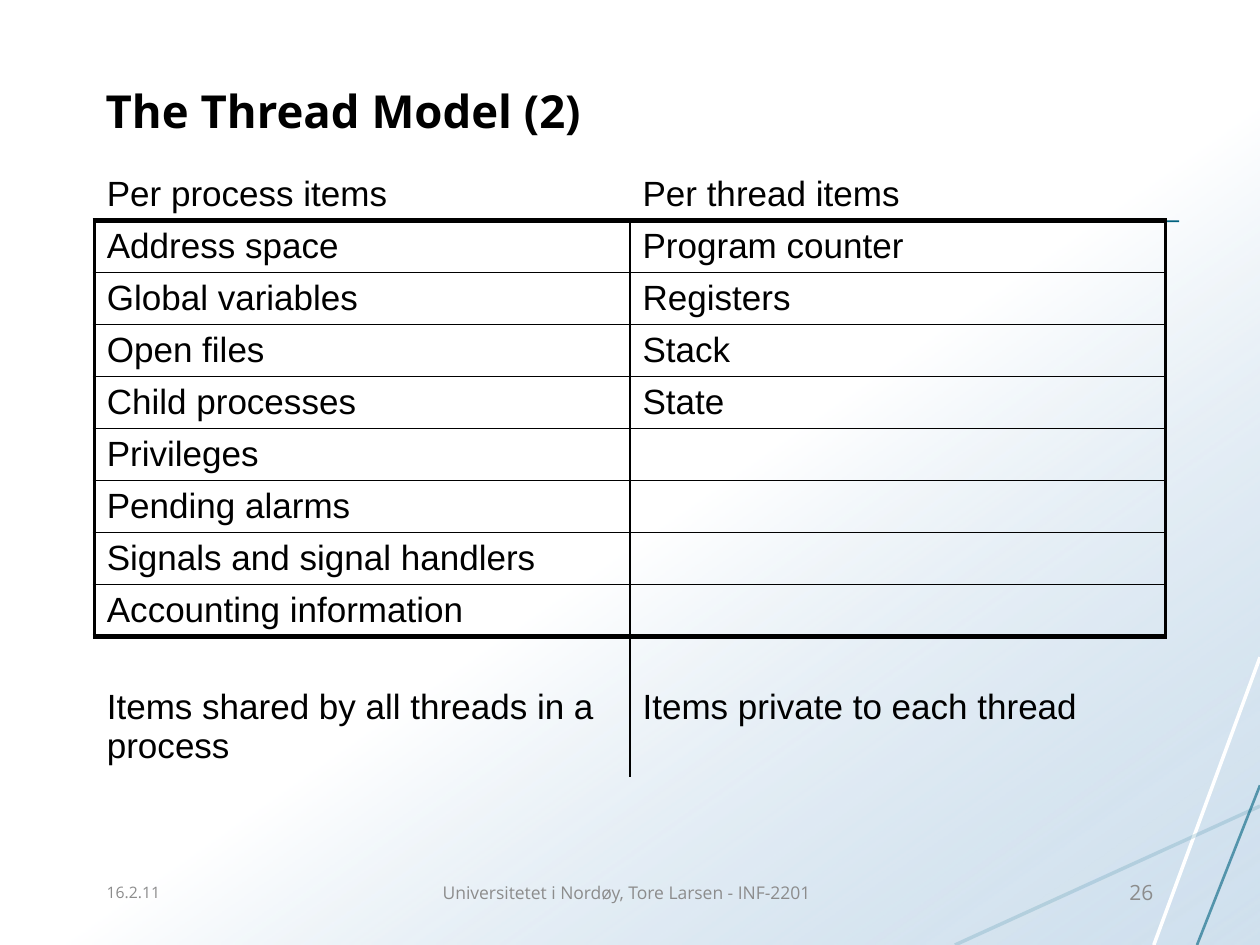
from dataclasses import dataclass

from lxml.etree import SubElement
from pptx import Presentation
from pptx.dml.color import RGBColor
from pptx.enum.shapes import MSO_CONNECTOR, MSO_SHAPE
from pptx.enum.text import MSO_ANCHOR, PP_ALIGN
from pptx.oxml import parse_xml
from pptx.oxml.ns import nsdecls, qn
from pptx.util import Cm, Pt


@dataclass(frozen=True)
class Theme:
    ink: str = "000000"
    muted: str = "8C8C8C"
    paper: str = "FFFFFF"
    sky: str = "A9C7E0"
    teal: str = "00617F"
    teal_light: str = "15718F"
    heading_font: str = "Open Sans"
    body_font: str = "Arial"
    title_size: float = 26
    body_size: float = 20
    thin: float = 1
    side: float = 2.25
    thick: float = 3


THEME = Theme()
SLIDE_W, SLIDE_H = 25.4, 19.05

ITEMS = [
    ("Per process items", "Per thread items"),
    ("Address space", "Program counter"),
    ("Global variables", "Registers"),
    ("Open files", "Stack"),
    ("Child processes", "State"),
    ("Privileges", ""),
    ("Pending alarms", ""),
    ("Signals and signal handlers", ""),
    ("Accounting information", ""),
    ("Items shared by all threads in a process", "Items private to each thread"),
]


def add_run(p, text, size, font, color, bold=False):
    r = p.add_run()
    r.text = text
    r.font.size = Pt(size)
    r.font.name = font
    r.font.bold = bold
    r.font.color.rgb = RGBColor.from_string(color)


def add_text(slide, box, text, size, color, anchor=MSO_ANCHOR.MIDDLE,
             align=PP_ALIGN.LEFT, bold=False):
    tf = slide.shapes.add_textbox(*map(Cm, box)).text_frame
    tf.word_wrap = True
    tf.vertical_anchor = anchor
    tf.margin_bottom = 0 if anchor == MSO_ANCHOR.BOTTOM else tf.margin_top
    p = tf.paragraphs[0]
    p.alignment = align
    add_run(p, text, size, THEME.heading_font, color, bold)


def add_line(slide, start, end, color, width, alpha=100):
    line = slide.shapes.add_connector(
        MSO_CONNECTOR.STRAIGHT, *map(Cm, start + end))
    line.line.width = Pt(width)
    line.line.color.rgb = RGBColor.from_string(color)
    sp_pr = line._element.spPr
    if alpha < 100:
        clr = sp_pr.find(".//" + qn("a:srgbClr"))
        SubElement(clr, qn("a:alpha")).set("val", str(alpha * 1000))
    SubElement(sp_pr, qn("a:effectLst"))


def add_backdrop(slide, box):
    left, top, width, height = box
    right, bottom = left + width, top + height

    # Diagonal wash
    sp = slide.shapes.add_shape(MSO_SHAPE.RECTANGLE, *map(Cm, box))
    sp.shadow.inherit = False
    sp.line.fill.background()
    wash = parse_xml(
        f'<a:gradFill {nsdecls("a")} rotWithShape="1"><a:gsLst>'
        f'<a:gs pos="54000"><a:srgbClr val="{THEME.paper}"/></a:gs>'
        f'<a:gs pos="100000"><a:srgbClr val="{THEME.sky}">'
        '<a:alpha val="54000"/></a:srgbClr></a:gs>'
        '</a:gsLst><a:lin ang="3300000" scaled="0"/></a:gradFill>')
    sp._element.spPr.find(qn("a:prstGeom")).addnext(wash)

    # Rays from the right edge to the bottom edge: rise, run, colour, width, alpha
    for rise, run, color, width, alpha in (
        (5.8, 2.14, THEME.paper, 2, 100),
        (2.8, 6.15, THEME.teal_light, 2, 16),
        (3.22, 1.27, THEME.teal, 1.5, 60),
    ):
        add_line(slide, (right, bottom - rise), (right - run, bottom),
                 color, width, alpha)

    # Rule under the heading
    add_line(slide, (left + 2.13, top + 4.45), (right - 1.63, top + 4.46),
             THEME.teal, 1)


def set_borders(cell, widths):
    tc_pr = cell._tc.get_or_add_tcPr()
    for side in "LRTB":
        width = widths.get(side, 0)
        ln = SubElement(tc_pr, qn(f"a:ln{side}"), w=str(Pt(width)))
        if width:
            fill = SubElement(ln, qn("a:solidFill"))
            SubElement(fill, qn("a:srgbClr"), val=THEME.ink)
        else:
            SubElement(ln, qn("a:noFill"))


def border_widths(row, col, last):
    """Framed body grid; header and closing rows stay open."""
    inner, outer = ("R", "L") if col == 0 else ("L", "R")
    if row == 0:
        return {"B": THEME.thick}
    if row == last:
        return {"T": THEME.thick, inner: THEME.thin}
    return {
        outer: THEME.side,
        inner: THEME.thin,
        "T": THEME.thick if row == 1 else THEME.thin,
        "B": THEME.thick if row == last - 1 else THEME.thin,
    }


def add_items_table(slide, box):
    left, top, width, height = box
    row_h, last = 1.04, len(ITEMS) - 1
    table = slide.shapes.add_table(
        len(ITEMS), 2, *map(Cm, (left, top, width, height))).table
    table.first_row = table.horz_banding = False
    for col in table.columns:
        col.width = Cm(width / 2)
    for i, texts in enumerate(ITEMS):
        closing = i == last
        table.rows[i].height = Cm(height - row_h * last if closing else row_h)
        for j, text in enumerate(texts):
            cell = table.cell(i, j)
            cell.margin_top = Cm(row_h if closing else 0.1)
            cell.margin_bottom = Cm(0.1)
            cell.vertical_anchor = MSO_ANCHOR.TOP if closing else MSO_ANCHOR.MIDDLE
            set_borders(cell, border_widths(i, j, last))
            cell.fill.background()
            if text:
                add_run(cell.text_frame.paragraphs[0], text,
                        THEME.body_size, THEME.body_font, THEME.ink)


def add_footer(slide, box):
    left, top, width, height = box
    side_w, mid_w = 5.29, 8.05
    parts = (
        (0, side_w, "16.2.11", 9, PP_ALIGN.LEFT),
        ((width - mid_w) / 2, mid_w,
         "Universitetet i Nordøy, Tore Larsen - INF-2201", 10, PP_ALIGN.LEFT),
        (width - side_w, side_w, "26", 12, PP_ALIGN.RIGHT),
    )
    for x, w, text, size, align in parts:
        add_text(slide, (left + x, top, w, height), text, size, THEME.muted,
                 align=align)


def main():
    prs = Presentation()
    prs.slide_width, prs.slide_height = Cm(SLIDE_W), Cm(SLIDE_H)
    slide = prs.slides.add_slide(prs.slide_layouts[6])

    add_backdrop(slide, (0, 0, SLIDE_W, SLIDE_H))
    add_text(slide, (1.88, 0.74, 21.59, 2.03), "The Thread Model (2)",
             THEME.title_size, THEME.ink, anchor=MSO_ANCHOR.BOTTOM, bold=True)
    add_items_table(slide, (1.9, 3.4, 21.6, 12.12))
    add_footer(slide, (1.9, 17.35, 21.6, 1.27))

    prs.save("out.pptx")


if __name__ == "__main__":
    main()
